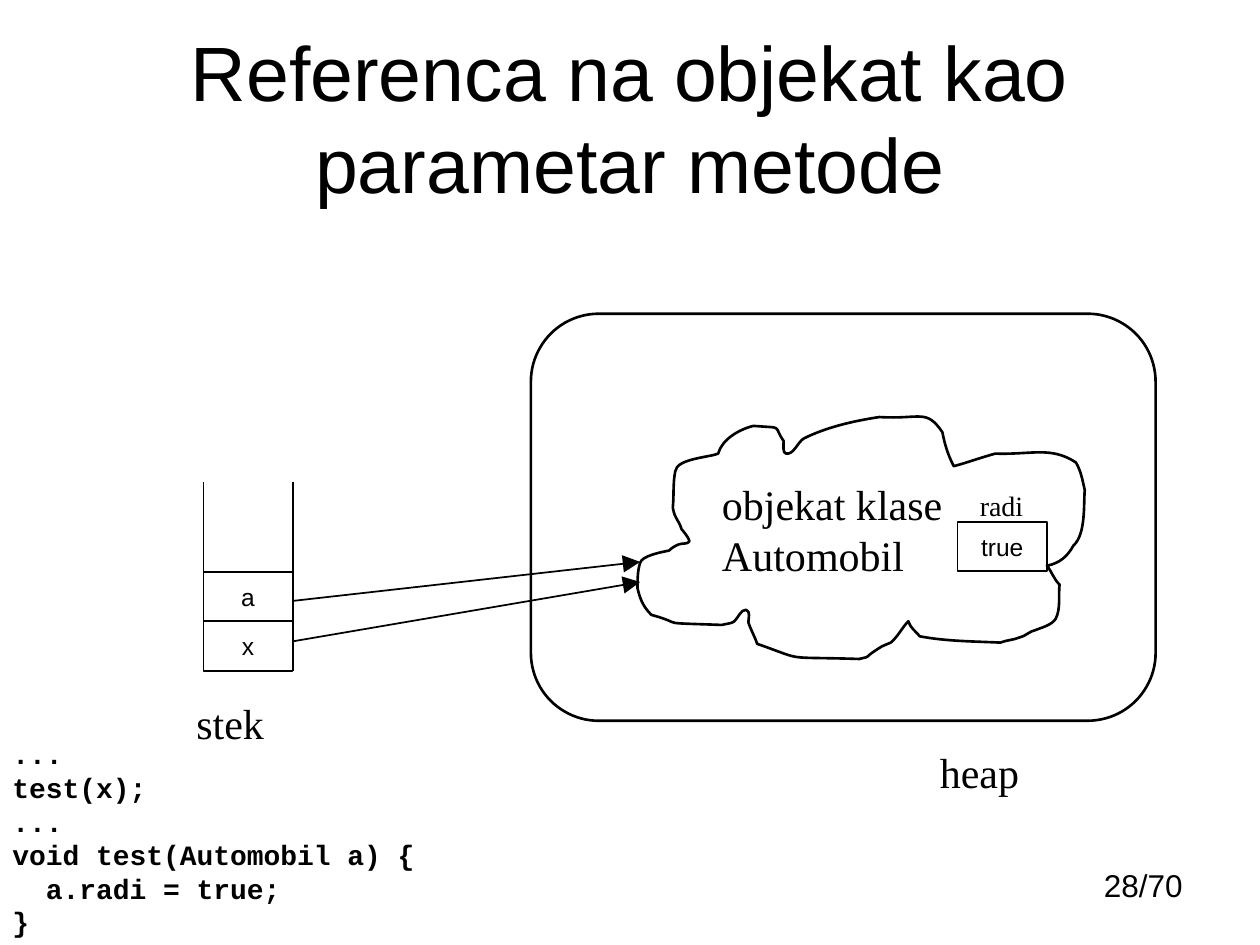
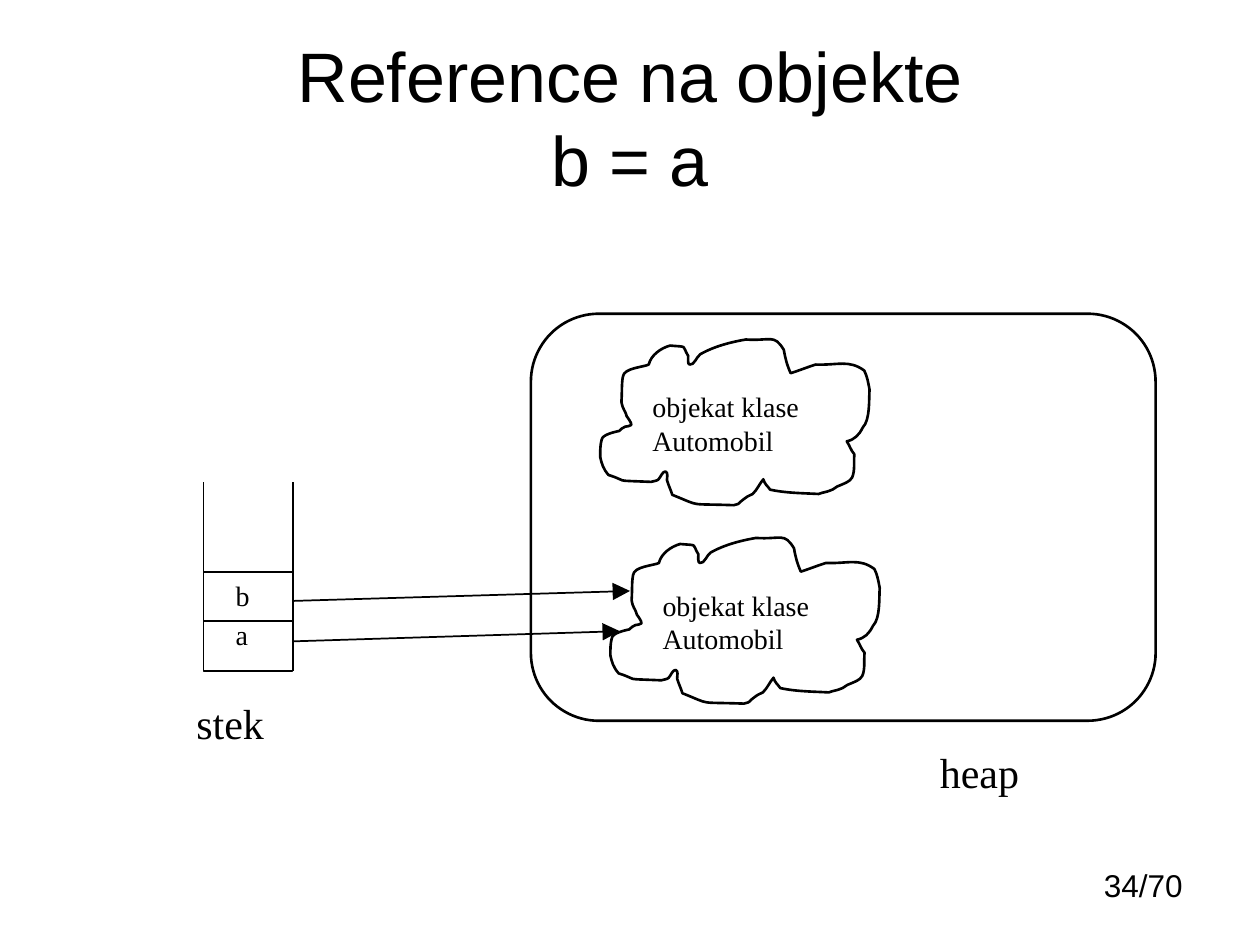
from dataclasses import dataclass

from lxml import etree
from pptx import Presentation
from pptx.dml.color import RGBColor
from pptx.enum.shapes import MSO_CONNECTOR, MSO_SHAPE
from pptx.enum.text import MSO_ANCHOR, PP_ALIGN
from pptx.oxml.ns import qn
from pptx.util import Pt

LEFT, MID, RIGHT = PP_ALIGN.LEFT, PP_ALIGN.CENTER, PP_ALIGN.RIGHT
TOP, HALF = MSO_ANCHOR.TOP, MSO_ANCHOR.MIDDLE
RECT, ROUND = MSO_SHAPE.RECTANGLE, MSO_SHAPE.ROUNDED_RECTANGLE
STRAIGHT = MSO_CONNECTOR.STRAIGHT


@dataclass(frozen=True)
class Theme:
    ink: RGBColor = RGBColor(0, 0, 0)
    sans: str = "Arial"
    serif: str = "Times New Roman"
    mono: str = "Courier New"
    label: int = 24
    page: int = 18
    note: int = 16
    cell: int = 14
    thin: float = 1
    thick: float = 1.5


T = Theme()

# Regions as left, top, width, height
TITLE = (36, 21.6, 648, 90)
PAGE = (518.7, 491.3, 164.2, 28.8)
STACK = (116.25, 275.6, 51, 107.7)
HEAP = (303.4, 179.3, 357, 232.6)
CODE = (0, 417.6, 617.8, 122.4)
CELL = 28.3

# Cloud outline: a start point, then curves, on a grid of 357 by 200
GRID = (357, 200)
START = (64, 36)
CURVES = [
    (67, 25, 80, 17, 92, 14), (117, 16, 107, 13, 116, 26),
    (116, 29, 115, 36, 118, 36), (124, 37, 127, 27, 132, 24),
    (150, 15, 172, 10, 192, 7), (225, 9, 229, 0, 242, 19),
    (244, 29, 246, 36, 251, 46), (262, 43, 273, 39, 284, 36),
    (313, 37, 328, 30, 348, 43), (352, 50, 353, 56, 355, 65),
    (354, 76, 356, 100, 346, 109), (341, 118, 335, 123, 325, 125),
    (329, 130, 330, 135, 335, 140), (334, 149, 336, 159, 332, 167),
    (329, 172, 321, 174, 316, 176), (311, 177, 308, 181, 303, 182),
    (298, 184, 293, 184, 288, 186), (266, 185, 245, 185, 224, 181),
    (220, 176, 217, 175, 215, 169), (210, 174, 207, 181, 201, 186),
    (199, 187, 196, 188, 194, 189), (176, 200, 188, 196, 176, 199),
    (113, 197, 135, 201, 95, 187), (93, 181, 90, 176, 88, 170),
    (88, 167, 90, 161, 86, 160), (82, 160, 80, 166, 77, 169),
    (75, 171, 70, 171, 67, 172), (12, 170, 40, 172, 11, 164),
    (4, 157, 2, 151, 0, 143), (0, 136, 0, 129, 2, 123),
    (3, 117, 20, 114, 25, 113), (27, 111, 30, 109, 33, 108),
    (36, 107, 39, 108, 41, 106), (42, 104, 35, 96, 35, 96),
    (32, 87, 30, 89, 28, 79), (29, 69, 28, 59, 30, 50),
    (31, 40, 57, 39, 64, 36),
]


def place(box):
    return [Pt(n) for n in box]


def write(shape, text, size=T.label, font=T.serif, bold=False,
          align=LEFT, anchor=TOP, wrap=True):
    """Fill a shape with text: \\n parts paragraphs, \\v breaks a line."""
    frame = shape.text_frame
    frame.word_wrap = wrap
    frame.vertical_anchor = anchor
    frame.margin_left = frame.margin_right = Pt(7.2)
    frame.margin_top = frame.margin_bottom = Pt(3.6)
    frame.text = text
    for para in frame.paragraphs:
        para.alignment = align
        for run in para.runs:
            run.font.size, run.font.name = Pt(size), font
            run.font.bold, run.font.color.rgb = bold, T.ink
    return shape


def label(slide, box, text, **style):
    return write(slide.shapes.add_textbox(*place(box)), text, **style)


def outline(shape, width):
    shape.shadow.inherit = False
    shape.fill.background()
    shape.line.color.rgb = T.ink
    shape.line.width = Pt(width)
    return shape


def line(slide, start, end, arrow=False):
    link = slide.shapes.add_connector(STRAIGHT, *place(start + end))
    link.line.color.rgb = T.ink
    link.line.width = Pt(T.thin)
    if arrow:
        etree.SubElement(link.line._get_or_add_ln(), qn("a:tailEnd"),
                         type="triangle", w="lg", len="lg")
    etree.SubElement(link._element.spPr, qn("a:effectLst"))


def cell(slide, box, text=""):
    shape = outline(slide.shapes.add_shape(RECT, *place(box)), T.thin)
    if text:
        write(shape, text, size=T.cell, font=T.sans, align=MID,
              anchor=HALF, wrap=False)


def base(deck, title, size, page):
    """A new slide with its title and page number."""
    slide = deck.slides.add_slide(deck.slide_layouts[6])
    label(slide, PAGE, page, size=T.page, font=T.sans, align=RIGHT)
    label(slide, TITLE, title, size=size, font=T.sans, align=MID, anchor=HALF)
    return slide


def stack(slide, box, rows):
    """Cells from the bottom up; a row is name, arrow rise, tip, name shift.

    With no shift the name sits inside its cell.
    """
    x, y, w, h = box
    for side in (x, x + w):
        line(slide, (side, y + h), (side, y))
    for i, (name, rise, tip, shift) in enumerate(rows):
        top = y + h - (i + 1) * CELL
        cell(slide, (x, top, w, CELL), name if shift is None else "")
        if shift is not None:
            label(slide, (x + 11.4, top + shift, 33.8, 26.6), name,
                  size=T.note)
        line(slide, (x + w, top + rise), tip, arrow=True)
    label(slide, (x - 11.1, y + h + 11.6, 90.7, 36), "stek")


def heap(slide, box):
    x, y, w, h = box
    frame = outline(slide.shapes.add_shape(ROUND, *place(box)), T.thick)
    frame.adjustments[0] = 0.167
    label(slide, (x + 226.6, y + h + 11.3, 108, 36), "heap")


def bend(shape):
    """Turn each three straight segments into one Bézier curve."""
    steps = list(shape._element.iter(qn("a:lnTo")))
    for i in range(0, len(steps), 3):
        curve = etree.Element(qn("a:cubicBezTo"))
        steps[i].addprevious(curve)
        for step in steps[i:i + 3]:
            curve.append(step[0])
            step.getparent().remove(step)


def cloud(slide, box, area, size):
    """An object; area is its text box relative to the cloud."""
    x, y, w, h = box

    def fit(a, b):
        return Pt(x + a * w / GRID[0]), Pt(y + b * h / GRID[1])

    pen = slide.shapes.build_freeform(*fit(*START))
    pen.add_line_segments([fit(*curve[i:i + 2]) for curve in CURVES
                           for i in (0, 2, 4)], close=True)
    shape = outline(pen.convert_to_shape(), T.thick)
    bend(shape)
    dx, dy, wide, high = area
    label(slide, (x + dx, y + dy, wide, high), "objekat klase Automobil",
          size=size)


def field(slide, box, name, value):
    x, y, w, h = box
    cell(slide, box, value)
    label(slide, (x + 5.6, y - 22.3, w, 26.6), name, size=T.note)


def code(slide, box):
    rows = ["...", "test(x);", "...", "void test(Automobil a) {",
            "a.radi = true;", "}"]
    shape = label(slide, box, "\n".join(rows), size=T.note, font=T.mono,
                  bold=True)
    # Indent the method body by two characters
    body = shape.text_frame.paragraphs[4]
    body._p.get_or_add_pPr().set("marL", str(Pt(19.2)))


def call(deck):
    """Slide: a reference passed to a method."""
    slide = base(deck, "Referenca na objekat kao parametar metode", 44,
                 "28/70")
    heap(slide, HEAP)
    cloud(slide, (364.3, 233.3, 257, 144), (41.2, 36.7, 175.7, 64.8), T.label)
    stack(slide, STACK, [("x", 11.5, (365.8, 332.6), None),
                         ("a", 16.7, (365.8, 321.1), None)])
    field(slide, (547.2, 298.2, 51, CELL), "radi", "true")
    code(slide, CODE)


def assign(deck):
    """Slide: one reference assigned to another."""
    slide = base(deck, "Reference na objekte\vb = a", 40, "34/70")
    heap(slide, HEAP)
    for x, y in ((343, 190.6), (348.8, 304)):
        cloud(slide, (x, y, 154.8, 98.6), (22.7, 28.5, 102.2, 46), T.note)
    stack(slide, STACK, [("a", 11.5, (354.2, 360.7), -5.6),
                         ("b", 16.7, (360, 337.7), 0.3)])


def main():
    deck = Presentation()
    deck.slide_width, deck.slide_height = Pt(720), Pt(540)
    call(deck)
    assign(deck)
    deck.save("out.pptx")


if __name__ == "__main__":
    main()
